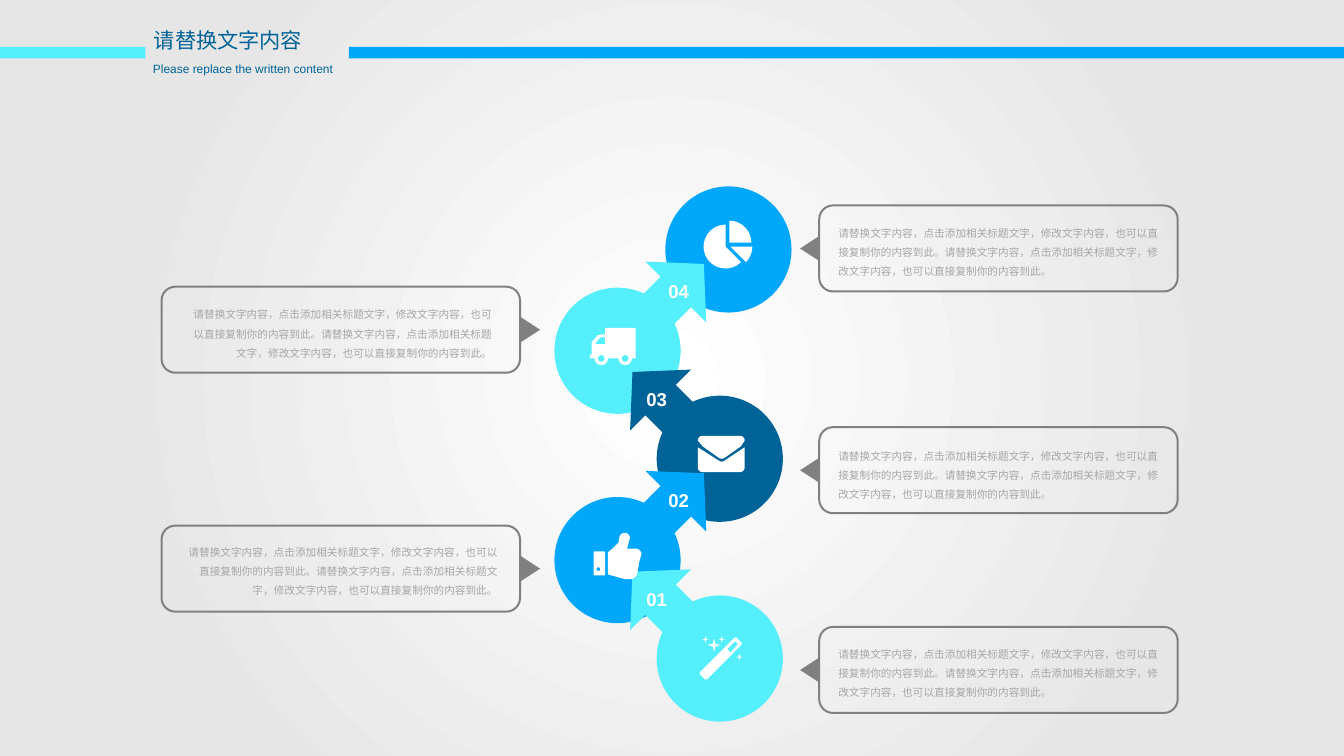
from math import cos, radians, sin

from lxml import etree
from pptx import Presentation
from pptx.dml.color import RGBColor
from pptx.enum import shapes as kinds, text as layout
from pptx.oxml.ns import qn
from pptx.util import Inches, Pt

SKY, CYAN, NAVY = "00A7FB", "55EEFB", "006397"
GREY, PALE, WHITE = "808080", "A6A6A6", "FFFFFF"
PRESET, ALIGN = kinds.MSO_SHAPE, layout.PP_ALIGN
DISC, BAR_TOP, BAR_HEIGHT = 1.32, 0.49, 0.12
CARD_WIDTH, CARD_HEIGHT = 3.75, 0.9
rgb = RGBColor.from_string


def paint(shape, colour):
    shape.shadow.inherit = False
    shape.fill.solid()
    shape.fill.fore_color.rgb = rgb(colour)
    shape.line.fill.background()


def arc(x, y, radius, start, end, pieces=16):
    angles = [radians(start + (end - start) * i / pieces) for i in range(pieces + 1)]
    return [(x + radius * cos(angle), y + radius * sin(angle)) for angle in angles]


prs = Presentation()
prs.slide_width, prs.slide_height = Inches(14.06), Inches(7.91)
slide = prs.slides.add_slide(prs.slide_layouts[5])

backdrop = slide.background.fill
backdrop.gradient()
for stop, position, colour in zip(backdrop.gradient_stops, (0, 0.73), (WHITE, "E6E6E6")):
    stop.position = position
    stop.color.rgb = rgb(colour)
linear = slide.element.find(".//" + qn("a:lin"))
circular = etree.Element(qn("a:path"), path="circle")
etree.SubElement(circular, qn("a:fillToRect"), l="50000", t="50000", r="50000", b="50000")
linear.getparent().replace(linear, circular)

for left, width, colour in ((3.65, 10.42, SKY), (0, 1.52, CYAN)):
    bar = slide.shapes.add_shape(
        PRESET.RECTANGLE, *map(Inches, (left, BAR_TOP, width, BAR_HEIGHT)))
    paint(bar, colour)

pie = [[(x, y)] + arc(x, y, 23, start, end)
       for x, y, start, end in ((-3, -3, 45, 270), (1, -7, 270, 360), (2, -3, 0, 45))]

axle, front, rear = 8, -17, 8
cab = [(-29, axle), (-29, 4), (-27, 4), (-27, -9), (-21, -16), (-18, -17), (-13, -17)]
cargo = [(-13, -24), (19, -24), (19, axle)]
arches = arc(rear, axle, 7, 0, 180) + arc(front, axle, 7, 0, 180)
window = [(-13, -7), (-13, -14), (-18, -14), (-23, -8), (-23, -7)]
hubs = [arc(x, axle, 3.5, 0, 360) for x in (front, rear)]
truck = [cab + cargo + arches, window, *hubs]

flap = (arc(-18, -19, 5, 180, 270) + arc(21, -19, 5, 270, 360)
        + [(22, -13)] + arc(2, -5, 5, 55, 125) + [(-18, -13)])
pocket = ([(-23, -12)] + arc(2, -2, 5, 125, 55) + [(26, -12)]
          + arc(21, 9, 5, 0, 90) + arc(-18, 9, 5, 90, 180))
envelope = [flap, pocket]

cuff = [point for i, (x, y) in enumerate(((-24, -8), (-14, -8), (-14, 15), (-24, 15)))
        for point in arc(x, y, 1, 180 + 90 * i, 270 + 90 * i)]
button = arc(-20, 9.5, 2, 0, 360)
raised_thumb = [(-10, -8), (-3, -14), (1, -18)] + arc(7.5, -23, 5.5, 180, 360)
fist = ([(10, -12)] + arc(19, -6, 6, 270, 360) + [(23, 1)]
        + arc(13, 12, 8, 0, 90) + [(8, 20), (-3, 17), (-10, 15)])
thumbs_up = [cuff, button, raised_thumb + fist]

stick = [point for i, (x, y) in enumerate(((16.5, -20), (21, -15.5), (-14.5, 20), (-19, 15.5)))
         for point in arc(x, y, 2, 225 + 90 * i, 315 + 90 * i)]
tip = [(19, -15), (16, -18), (8, -10), (11, -6)]
sparkles = []
for x, y, size in ((-6, -14, 7), (-15, -20, 3.5), (2, -20, 3.5), (20.5, -1.5, 3.5)):
    rays = zip(arc(x, y, size, 0, 270, 3), arc(x, y, size * 0.28, 45, 315, 3))
    sparkles.append([point for ray in rays for point in ray])
wand = [stick, tip, *sparkles]

captions = [(1.6, 0.64, 1.9, 0.15, "Please replace the written content",
             9, NAVY, False, ALIGN.LEFT, 1)]

steps = [
    (6.96, 1.95, SKY, 45, "", pie),
    (5.8, 3.01, CYAN, 45, "04", truck),
    (6.87, 4.14, NAVY, 315, "03", envelope),
    (5.8, 5.2, SKY, 45, "02", thumbs_up),
    (6.87, 6.23, CYAN, 315, "01", wand),
]
for left, top, colour, angle, number, icon in steps:
    parts = [(PRESET.OVAL, left, top, DISC, DISC)]
    if number:
        arrow_left = left + (0.82 if angle == 45 else -0.41)
        number_left = arrow_left + (0.37 if angle == 45 else 0.3)
        parts.append((PRESET.UP_ARROW, arrow_left, top - 0.37, 0.9, 0.83))
        captions.append((number_left, top - 0.08, 0.22, 0.24, number,
                         14, WHITE, True, ALIGN.CENTER, 1))
    for preset, *frame in parts:
        part = slide.shapes.add_shape(preset, *map(Inches, frame))
        part.rotation = angle
        paint(part, colour)

for left, top, colour, angle, number, icon in steps:
    centre_x, centre_y = left + DISC / 2, top + DISC / 2
    outlines = [[(Inches(centre_x + x / 100), Inches(centre_y + y / 100)) for x, y in outline]
                for outline in icon]
    builder = slide.shapes.build_freeform(*outlines[0][0])
    for outline in outlines:
        builder.move_to(*outline[0])
        builder.add_line_segments(outline[1:], close=True)
    paint(builder.convert_to_shape(), WHITE)

sentence = "请替换文字内容，点击添加相关标题文字，修改文字内容，也可以直接复制你的内容到此。"
cards = [
    (1.69, 3, 1.93, 3.16, 3.22),
    (1.69, 5.5, 1.95, 5.64, 3.26),
    (8.57, 2.15, 8.77, 2.31, 3.35),
    (8.57, 4.47, 8.77, 4.64, 3.35),
    (8.57, 6.56, 8.77, 6.71, 3.35),
]
for left, top, text_left, text_top, text_width in cards:
    on_left = left < 7
    pointer_left, turn, align = (5.42, 90, ALIGN.RIGHT) if on_left else (8.34, 270, ALIGN.LEFT)
    pointer = slide.shapes.add_shape(
        PRESET.ISOSCELES_TRIANGLE, *map(Inches, (pointer_left, top + 0.35, 0.26, 0.2)))
    pointer.rotation = turn
    paint(pointer, GREY)
    card = slide.shapes.add_shape(
        PRESET.ROUNDED_RECTANGLE, *map(Inches, (left, top, CARD_WIDTH, CARD_HEIGHT)))
    card.adjustments[0] = 0.16
    card.shadow.inherit = False
    card.fill.background()
    card.line.color.rgb = rgb(GREY)
    card.line.width = Pt(1.5)
    captions.append((text_left, text_top, text_width, 0.58, sentence * 2,
                     8, PALE, False, align, 1.5))

for left, top, width, height, words, size, colour, bold, align, spacing in captions:
    frame = slide.shapes.add_textbox(*map(Inches, (left, top, width, height))).text_frame
    frame.margin_left = frame.margin_right = frame.margin_top = frame.margin_bottom = 0
    frame.word_wrap = spacing > 1
    frame.text = words
    paragraph = frame.paragraphs[0]
    paragraph.alignment = align
    paragraph.line_spacing = spacing
    paragraph._p.get_or_add_pPr().set("hangingPunct", "0")
    paragraph.font.name = "Arial"
    paragraph.font.size = Pt(size)
    paragraph.font.bold = bold
    paragraph.font.color.rgb = rgb(colour)

title = slide.shapes.title
title.left, title.top, title.width, title.height = map(Inches, (1.51, 0.24, 1.77, 0.37))
title.text_frame.text = "请替换文字内容"
title.text_frame.word_wrap = False
title.text_frame.auto_size = layout.MSO_AUTO_SIZE.NONE
title.text_frame.vertical_anchor = layout.MSO_ANCHOR.TOP
heading = title.text_frame.paragraphs[0]
heading.alignment = ALIGN.LEFT
heading.font.name = "Arial"
heading.font.size = Pt(16)
heading.font.color.rgb = rgb(NAVY)

prs.save("out.pptx")
